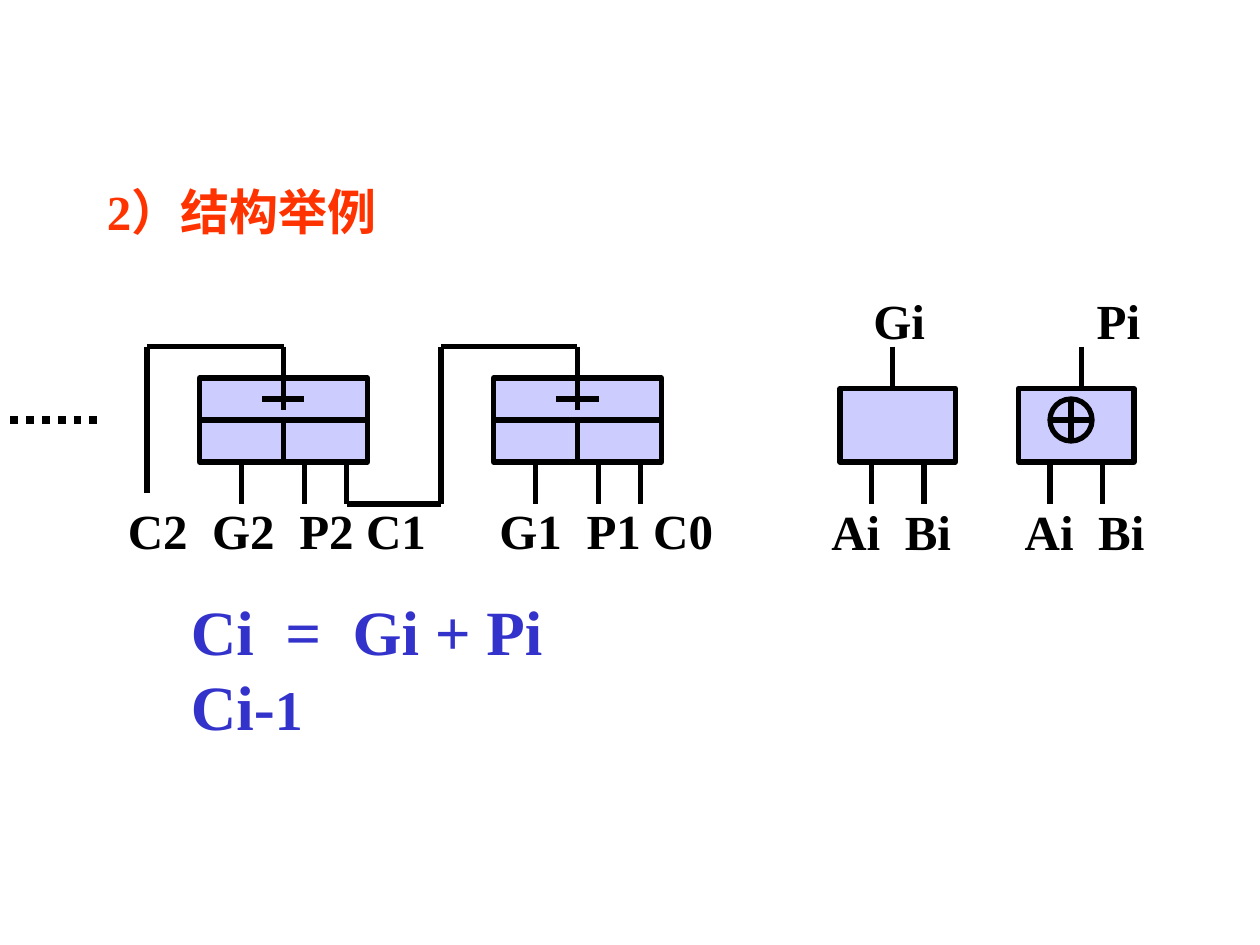
from pptx import Presentation
from pptx.dml.color import RGBColor
from pptx.enum.dml import MSO_LINE
from pptx.enum.shapes import MSO_CONNECTOR, MSO_SHAPE
from pptx.enum.text import MSO_ANCHOR
from pptx.oxml.ns import qn
from pptx.util import Pt
from lxml import etree

BLACK = "000000"
LILAC = "CCCCFF"
RED = "FF3300"
BLUE = "3333CC"


def color(value):
    return RGBColor.from_string(value)


def add_line(s, x1, y1, x2, y2, width=3):
    line = s.shapes.add_connector(
        MSO_CONNECTOR.STRAIGHT, Pt(x1), Pt(y1), Pt(x2), Pt(y2))
    line.line.color.rgb = color(BLACK)
    line.line.width = Pt(width)
    etree.SubElement(line._element.spPr, qn("a:effectLst"))
    return line


def add_lines(s, x, y, segments):
    for x1, y1, x2, y2 in segments:
        add_line(s, x + x1, y + y1, x + x2, y + y2)


def add_outline(s, kind, x, y, w, h, fill=None):
    sp = s.shapes.add_shape(kind, Pt(x), Pt(y), Pt(w), Pt(h))
    sp.shadow.inherit = False
    if fill:
        sp.fill.solid()
        sp.fill.fore_color.rgb = color(fill)
    else:
        sp.fill.background()
    sp.line.color.rgb = color(BLACK)
    sp.line.width = Pt(3)


def add_text(s, x, y, w, h, runs, fill=BLACK, tabs=(), wrap=True,
             anchor=MSO_ANCHOR.BOTTOM):
    tf = s.shapes.add_textbox(Pt(x), Pt(y), Pt(w), Pt(h)).text_frame
    tf.word_wrap = wrap
    tf.vertical_anchor = anchor
    p = tf.paragraphs[0]
    if tabs:
        stops = etree.SubElement(p._p.get_or_add_pPr(), qn("a:tabLst"))
        for pos in tabs:
            etree.SubElement(stops, qn("a:tab"), pos=str(Pt(pos)), algn="l")
    for text, size in runs:
        r = p.add_run()
        r.text = text
        r.font.name = "Times New Roman"
        r.font.size = Pt(size)
        r.font.bold = True
        r.font.color.rgb = color(fill)


def add_labels(s, x, y, w, names, tabs):
    add_text(s, x, y, w, 41, [("\t".join(names), 28)], tabs=tabs)


def carry_stage(s, x, y, w, h, carry_end):
    mid, half = w / 2, h / 2
    add_outline(s, MSO_SHAPE.RECTANGLE, x, y, w, h, LILAC)
    add_lines(s, x, y, [
        (0, half, w, half),
        (mid, half, mid, h),
        (mid - 12, 12, mid + 12, 12),
        (mid, -18, mid, 18),
        (-30, -18, mid, -18),
        (-30, -18, -30, carry_end),
    ])
    add_lines(s, x, y, [(dx, h, dx, h + 24) for dx in (24, 60, 84)])


def gate(s, x, y, w, h, output):
    add_outline(s, MSO_SHAPE.RECTANGLE, x, y, w, h, LILAC)
    add_lines(s, x, y, [(output, -24, output, 0)])
    add_lines(s, x, y, [(dx, h, dx, h + 24) for dx in (18, 48)])


def xor_symbol(s, x, y, d):
    add_outline(s, MSO_SHAPE.OVAL, x, y, d, d)
    add_lines(s, x, y, [(0, d / 2, d, d / 2), (d / 2, 0, d / 2, d)])


def carry_chain(s, x, y):
    for i, carry_end in enumerate((66, 72)):
        carry_stage(s, x + 168 * i, y, 96, 48, carry_end)
    add_line(s, x + 84, y + 72, x + 138, y + 72)
    dots = add_line(s, 6, y + 24, 60, y + 24, 4.5)
    dots.line.dash_style = MSO_LINE.ROUND_DOT
    add_labels(s, x - 48, y + 66, 408,
               ["C2", "G2", "P2", "C1", "G1", "P1", "C0"],
               [48.2, 98, 136.1, 212.3, 262.1, 300.2])


def gate_pair(s, x, y):
    for dx, output in ((0, 30), (102, 36)):
        gate(s, x + dx, y, 66, 42, output)
    xor_symbol(s, x + 120, y + 6, 24)
    add_labels(s, x + 12, y - 60, 198, ["Gi", "Pi"], [127.6])
    add_labels(s, x - 12, y + 61, 252, ["Ai", "Bi", "Ai", "Bi"],
               [42, 110.5, 152.5])


def main():
    prs = Presentation()
    prs.slide_width, prs.slide_height = Pt(720), Pt(540)
    s = prs.slides.add_slide(prs.slide_layouts[6])
    add_text(s, 54, 100, 612, 380, [("2）结构举例", 28)], RED,
             anchor=MSO_ANCHOR.TOP)
    carry_chain(s, 114, 216)
    gate_pair(s, 480, 222)
    add_text(s, 102, 378, 288, 50.4,
             [("Ci\t=\tGi + Pi Ci-", 36), ("1", 32)], BLUE,
             tabs=[54, 92.5], wrap=False)
    prs.save("out.pptx")


if __name__ == "__main__":
    main()
